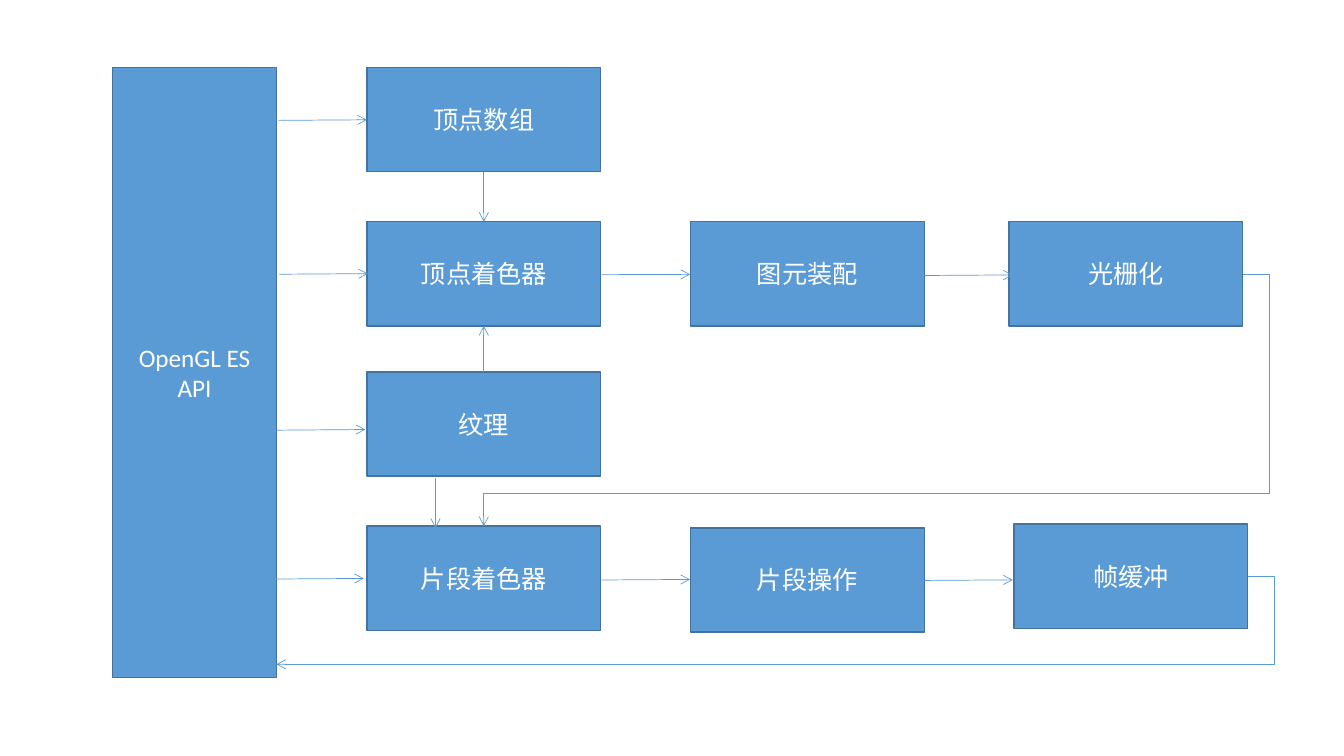
from pptx import Presentation
from pptx.dml.color import RGBColor
from pptx.enum.shapes import MSO_CONNECTOR as Link, MSO_SHAPE as Shape
from pptx.enum.text import MSO_ANCHOR as Anchor, PP_ALIGN as Align
from pptx.oxml.ns import qn
from pptx.util import Pt
from lxml.etree import SubElement

BLUE, EDGE, WHITE = "5B9BD5", "43739E", "FFFFFF"
STAGE_W, STAGE_H = 167, 74.4
COL_1, COL_2, COL_3 = 262.1, 493.2, 720.7
ROW_1, ROW_2, ROW_3, ROW_4 = 48.2, 158.4, 265.7, 375.8

# Content: the API column and the pipeline stages (text, left, top)
API = (["OpenGL ES", "API"], 80.6, ROW_1, 116.8, 435.6)
STAGES = [
    ("顶点数组", COL_1, ROW_1),
    ("顶点着色器", COL_1, ROW_2),
    ("片段着色器", COL_1, ROW_4),
    ("纹理", COL_1, ROW_3),
    ("图元装配", COL_2, ROW_2),
    ("光栅化", COL_3, ROW_2),
    ("片段操作", COL_2, ROW_4 + 1.2),
    ("帧缓冲", COL_3 + 3.6, ROW_4 - 1.4),
]

# Arrows: rightward ones share a length (start x, start y, rise)
ARROW_LENGTH = 63.2
RIGHT_ARROWS = [
    (198.9, 86, 0.4), (199.6, 195.9, 0.4), (197.8, 307.3, 0.5), (196.7, 413.6, 0.4),
    (429.8, 196.2, 0.2), (660.2, 196.8, 0.4), (429.8, 414.3, 0.4), (660.2, 414.6, 0.4),
]
MIDDLE = COL_1 + STAGE_W / 2
VERTICAL_ARROWS = [  # x, start y, end y
    (MIDDLE, ROW_1 + STAGE_H, ROW_2),
    (311.1, 341.5, 377.2),
    (MIDDLE, ROW_3, ROW_2 + STAGE_H),
]
BENT_ARROWS = [  # start, end, preset, adjustments
    ((887.9, 195.7), (MIDDLE, ROW_4), "bentConnector4", [-0.035, 0.871]),
    ((891.4, 411.6), (197.4, 474.5), "bentConnector3", [-0.027]),
]


def color(hex_text):
    return RGBColor.from_string(hex_text)


def add_box(page, lines, left, top, width, height):
    box = page.shapes.add_shape(Shape.RECTANGLE, Pt(left), Pt(top), Pt(width), Pt(height))
    box.shadow.inherit = False
    box.fill.solid()
    box.fill.fore_color.rgb = color(BLUE)
    box.line.color.rgb = color(EDGE)
    box.line.width = Pt(1)
    frame = box.text_frame
    frame.word_wrap = True
    frame.vertical_anchor = Anchor.MIDDLE
    for index, line in enumerate(lines):
        para = frame.add_paragraph() if index else frame.paragraphs[0]
        para.alignment = Align.CENTER
        span = para.add_run()
        span.text = line
        span.font.name = "Calibri"
        span.font.size = Pt(18)
        span.font.color.rgb = color(WHITE)


def add_arrow(page, start, end, kind=Link.STRAIGHT):
    arrow = page.shapes.add_connector(kind, *map(Pt, start + end))
    arrow.line.color.rgb = color(BLUE)
    arrow.line.width = Pt(0.5)
    properties = arrow.element.spPr
    SubElement(properties.find(qn("a:ln")), qn("a:tailEnd"), type="arrow")
    SubElement(properties, qn("a:effectLst"))
    return arrow


def bend(arrow, preset, adjustments):
    geometry = arrow.element.spPr.find(qn("a:prstGeom"))
    geometry.set("prst", preset)
    guides = geometry.find(qn("a:avLst"))
    if guides is None:
        guides = SubElement(geometry, qn("a:avLst"))
    for number, share in enumerate(adjustments, 1):
        SubElement(guides, qn("a:gd"), name=f"adj{number}", fmla=f"val {round(share * 100000)}")


deck = Presentation()
deck.slide_width, deck.slide_height = Pt(960), Pt(540)
page = deck.slides.add_slide(deck.slide_layouts[6])

# Boxes
add_box(page, *API)
for text, left, top in STAGES:
    add_box(page, [text], left, top, STAGE_W, STAGE_H)

# Straight arrows
for x, y, rise in RIGHT_ARROWS:
    add_arrow(page, (x, y), (x + ARROW_LENGTH, y - rise))
for x, start_y, end_y in VERTICAL_ARROWS:
    add_arrow(page, (x, start_y), (x, end_y))

# Bent arrows back to earlier stages
for start, end, preset, adjustments in BENT_ARROWS:
    bend(add_arrow(page, start, end, Link.ELBOW), preset, adjustments)

deck.save("out.pptx")
